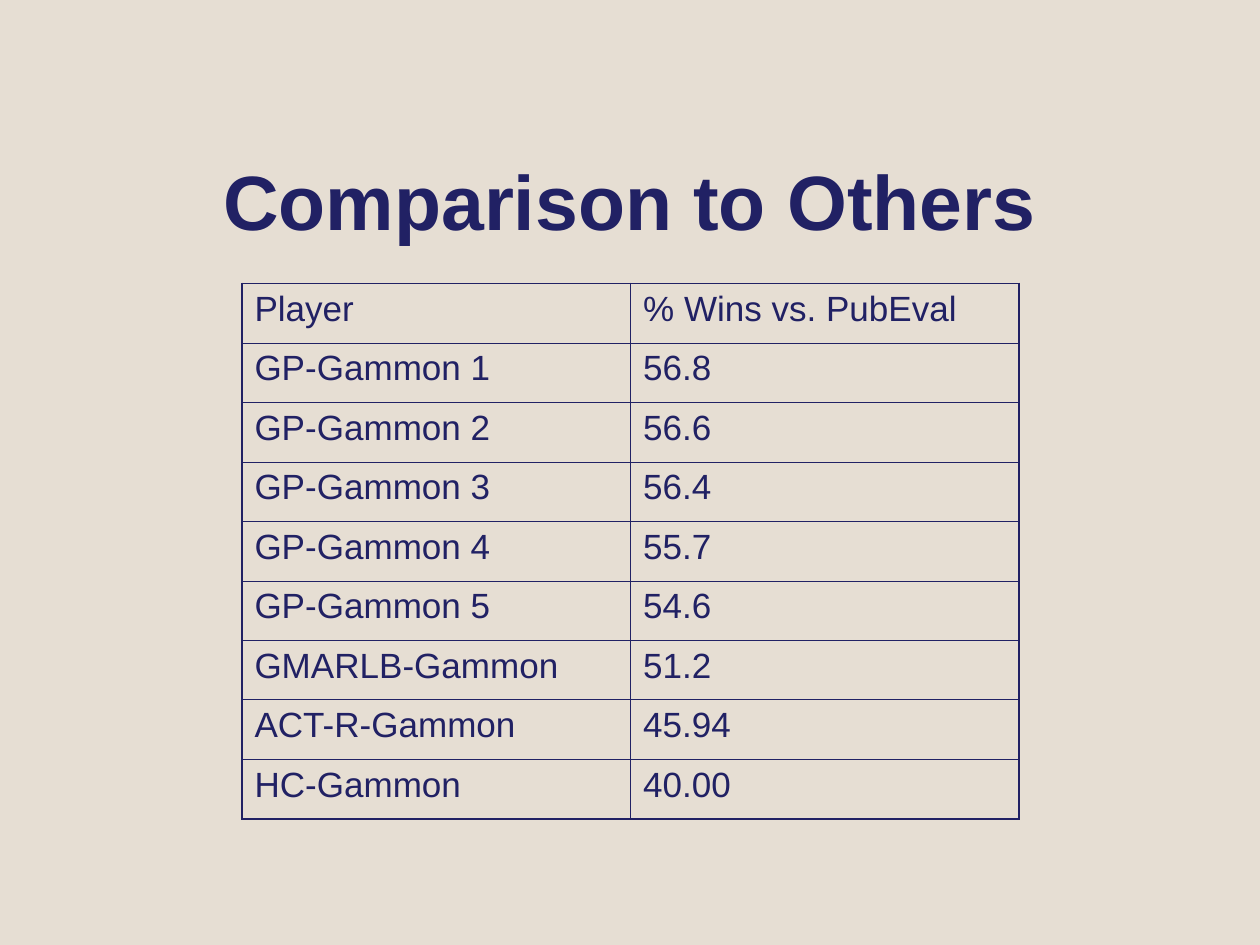
import lxml.etree
import pptx
import pptx.dml.color
import pptx.enum.text
import pptx.oxml.ns
import pptx.util

COLORS = {"paper": "E6DED3", "ink": "212164"}
FONT = "Arial"
SLIDE_WIDTH, SLIDE_HEIGHT = pptx.util.Inches(10), pptx.util.Inches(7.5)
OUTER_LINE, INNER_LINE = pptx.util.Pt(1.08), pptx.util.Pt(0.45)
RESULTS = [
    ("Player", "% Wins vs. PubEval"),
    ("GP-Gammon 1", "56.8"),
    ("GP-Gammon 2", "56.6"),
    ("GP-Gammon 3", "56.4"),
    ("GP-Gammon 4", "55.7"),
    ("GP-Gammon 5", "54.6"),
    ("GMARLB-Gammon", "51.2"),
    ("ACT-R-Gammon", "45.94"),
    ("HC-Gammon", "40.00"),
]


def rgb(name):
    """Return the named colour."""
    return pptx.dml.color.RGBColor.from_string(COLORS[name])


def box_on_slide(left, top, width, height):
    """Turn inches of the 10 by 7.5 grid into a box in shares of the slide."""
    return (int(SLIDE_WIDTH * left / 10), int(SLIDE_HEIGHT * top / 7.5),
            int(SLIDE_WIDTH * width / 10), int(SLIDE_HEIGHT * height / 7.5))


def write(frame, text, size, bold=False):
    """Set the text of a frame and format its run."""
    frame.text = text
    font = frame.paragraphs[0].runs[0].font
    font.name, font.size, font.bold = FONT, pptx.util.Pt(size), bold
    font.color.rgb = rgb("ink")


def draw_borders(cell, widths):
    """Give a cell solid borders, in the order left, right, top, bottom."""
    properties = cell._tc.get_or_add_tcPr()
    qn = pptx.oxml.ns.qn
    for position, (side, width) in enumerate(zip("LRTB", widths)):
        border = lxml.etree.Element(qn(f"a:ln{side}"), w=str(int(width)))
        fill = lxml.etree.SubElement(border, qn("a:solidFill"))
        lxml.etree.SubElement(fill, qn("a:srgbClr"), val=COLORS["ink"])
        properties.insert(position, border)


def add_title(slide, box):
    """Place the heading at the bottom of its box."""
    frame = slide.shapes.add_textbox(*box).text_frame
    frame.word_wrap = True
    frame.vertical_anchor = pptx.enum.text.MSO_ANCHOR.BOTTOM
    write(frame, "Comparison to Others", 44, bold=True)
    frame.paragraphs[0].alignment = pptx.enum.text.PP_ALIGN.CENTER


def add_results(slide, box):
    """Place the table of win rates with a heavier outer frame."""
    row_count, column_count = len(RESULTS), len(RESULTS[0])
    table = slide.shapes.add_table(row_count, column_count, *box).table
    table.first_row = table.horz_banding = False
    for r, result in enumerate(RESULTS):
        for c, text in enumerate(result):
            cell = table.cell(r, c)
            cell.fill.background()
            write(cell.text_frame, text, 20)
            on_edge = (c == 0, c == column_count - 1, r == 0, r == row_count - 1)
            draw_borders(cell, [OUTER_LINE if edge else INNER_LINE for edge in on_edge])


def main():
    """Build the slide and save it."""
    deck = pptx.Presentation()
    deck.slide_width, deck.slide_height = SLIDE_WIDTH, SLIDE_HEIGHT
    slide = deck.slides.add_slide(deck.slide_layouts[6])
    slide.background.fill.solid()
    slide.background.fill.fore_color.rgb = rgb("paper")
    add_title(slide, box_on_slide(0.75, 0.58, 8.5, 1.42))
    add_results(slide, box_on_slide(1.92, 2.25, 6.17, 4.25))
    deck.save("out.pptx")


if __name__ == "__main__":
    main()
